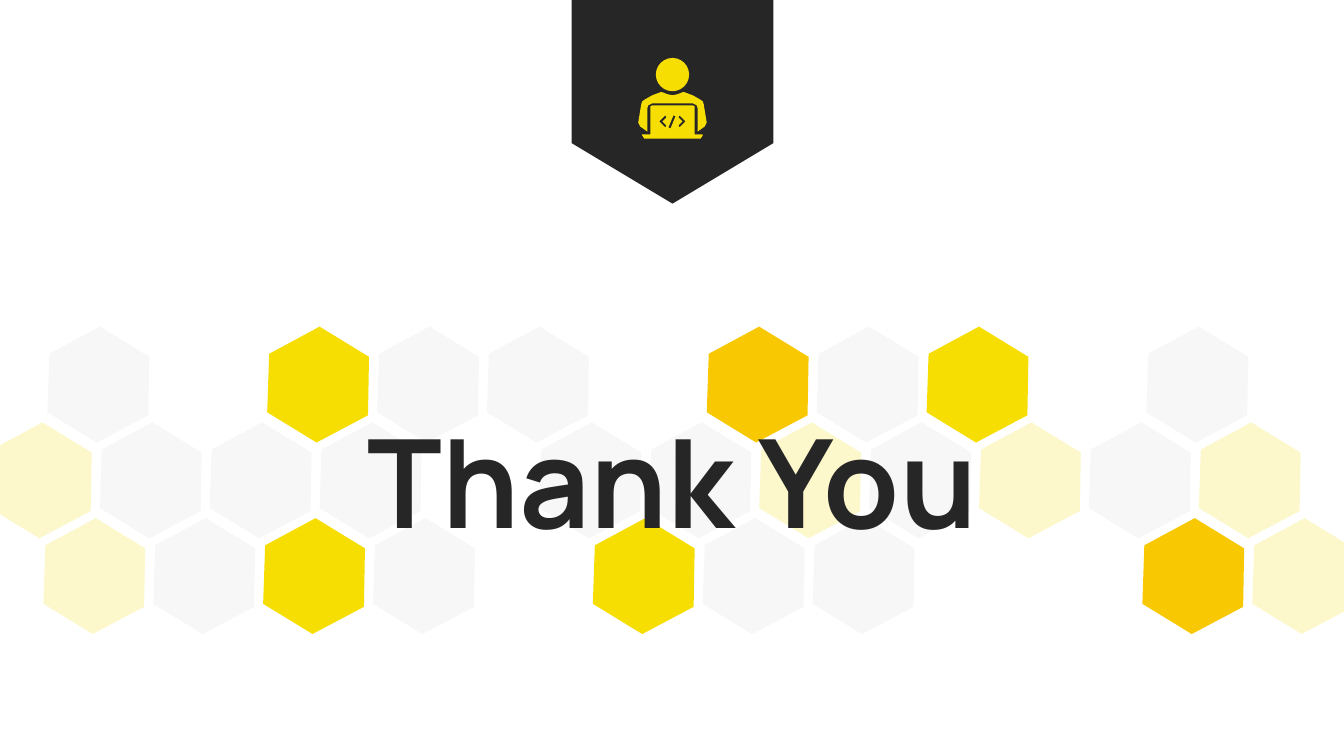
from lxml import etree
from pptx import Presentation
from pptx.dml.color import RGBColor
from pptx.enum import shapes, text
from pptx.oxml import ns
from pptx.util import Inches, Pt

YELLOW, AMBER, GREY, DARK = "F6DE03", "F8C803", "F2F2F2", "262626"
CELL_FILLS = {"Y": (YELLOW, 100), "O": (AMBER, 100), "P": (YELLOW, 20), "G": (GREY, 60)}
CELL_OUTLINE = [(0.52, 0), (1.01, 0.3), (1, 0.88), (0.49, 1.15), (0, 0.85), (0.02, 0.27)]
COMB_ROWS = [(0.57, "G.YGG.OGY.G"), (0, "PGGG.GGPGPGP"), (0.53, "PGYG.YGG..OP")]

SHOULDERS = [(0, 0.37), (0.05, 0.36), (0.1, 0.34), (0.12, 0.34), (0.2, 0.37), (0.27, 0.41),
             (0.3, 0.43), (0.31, 0.46), (0.34, 0.64), (0.33, 0.66), (0.32, 0.68),
             (0.25, 0.73), (0.25, 0.5), (0.24, 0.47), (0.2, 0.45)]
LAPTOP = [(0.2, 0.47), (0.22, 0.48), (0.22, 0.5), (0.22, 0.76), (0.3, 0.76),
          (0.3, 0.77), (0.28, 0.8)]
CHEVRON = [(0.06, 0.67), (0.07, 0.69), (0.13, 0.63), (0.07, 0.57), (0.06, 0.59), (0.1, 0.63)]
SLASH = [(-0.02, 0.7), (-0.04, 0.69), (0.01, 0.57), (0.03, 0.58)]


def rgb(value):
    return RGBColor.from_string(value)


def paint(shape, color, opacity=100):
    shape.shadow.inherit = False
    shape.line.fill.background()
    shape.fill.solid()
    shape.fill.fore_color.rgb = rgb(color)
    if opacity < 100:
        tint = shape.fill._xPr.find(".//" + ns.qn("a:srgbClr"))
        etree.SubElement(tint, ns.qn("a:alpha")).set("val", str(opacity * 1000))


def outline(slide, left, top, *contours):
    placed = [[(Inches(left + x), Inches(top + y)) for x, y in contour] for contour in contours]
    builder = slide.shapes.build_freeform(*placed[0][0])
    builder.add_line_segments(placed[0][1:])
    for contour in placed[1:]:
        builder.move_to(*contour[0])
        builder.add_line_segments(contour[1:])
    return builder.convert_to_shape()


def mirror(points):
    return [(-x, y) for x, y in reversed(points)]


def honeycomb(slide, left, top, pitch=1.09, row_step=0.95):
    for row, (indent, cells) in enumerate(COMB_ROWS):
        for column, kind in enumerate(cells):
            if kind in CELL_FILLS:
                cell = outline(slide, left + indent + column * pitch,
                               top + row * row_step, CELL_OUTLINE)
                paint(cell, *CELL_FILLS[kind])


def closing_title(slide, left, top, width, height):
    thanks = slide.shapes.title
    thanks._element.getparent().append(thanks._element)
    thanks.left, thanks.top = Inches(left), Inches(top)
    thanks.width, thanks.height = Inches(width), Inches(height)
    frame = thanks.text_frame
    frame.text = "Thank You"
    frame.word_wrap = True
    frame.auto_size = text.MSO_AUTO_SIZE.NONE
    frame.vertical_anchor = text.MSO_ANCHOR.MIDDLE
    line = frame.paragraphs[0]
    line.alignment = text.PP_ALIGN.CENTER
    line.font.name, line.font.size, line.font.bold = "Manrope", Pt(88), True
    line.font.color.rgb = rgb(DARK)


def coder_icon(slide, center, top, head_size=0.33):
    head = slide.shapes.add_shape(shapes.MSO_SHAPE.OVAL, Inches(center - head_size / 2),
                                  Inches(top), Inches(head_size), Inches(head_size))
    body = outline(slide, center, top, SHOULDERS + mirror(SHOULDERS))
    laptop = outline(slide, center, top, LAPTOP + mirror(LAPTOP),
                     CHEVRON, mirror(CHEVRON), SLASH)
    for part in (head, body, laptop):
        paint(part, YELLOW)


def banner(slide, left, top, width, height):
    center, middle = left + width / 2, top + height / 2
    pennant = slide.shapes.add_shape(shapes.MSO_SHAPE.HEXAGON, Inches(center - height / 2),
                                     Inches(middle - width / 2), Inches(height), Inches(width))
    pennant.rotation = 90
    pennant.adjustments[0] = 0.3
    paint(pennant, DARK)
    coder_icon(slide, center, middle - 0.05)


def main():
    deck = Presentation()
    deck.slide_width, deck.slide_height = Inches(13.33), Inches(7.5)
    slide = deck.slides.add_slide(deck.slide_layouts[5])
    honeycomb(slide, -0.1, 3.24)
    closing_title(slide, 1.98, 3.96, 9.38, 1.58)
    banner(slide, 5.67, -0.77, 2, 2.79)
    deck.save("out.pptx")


if __name__ == "__main__":
    main()
